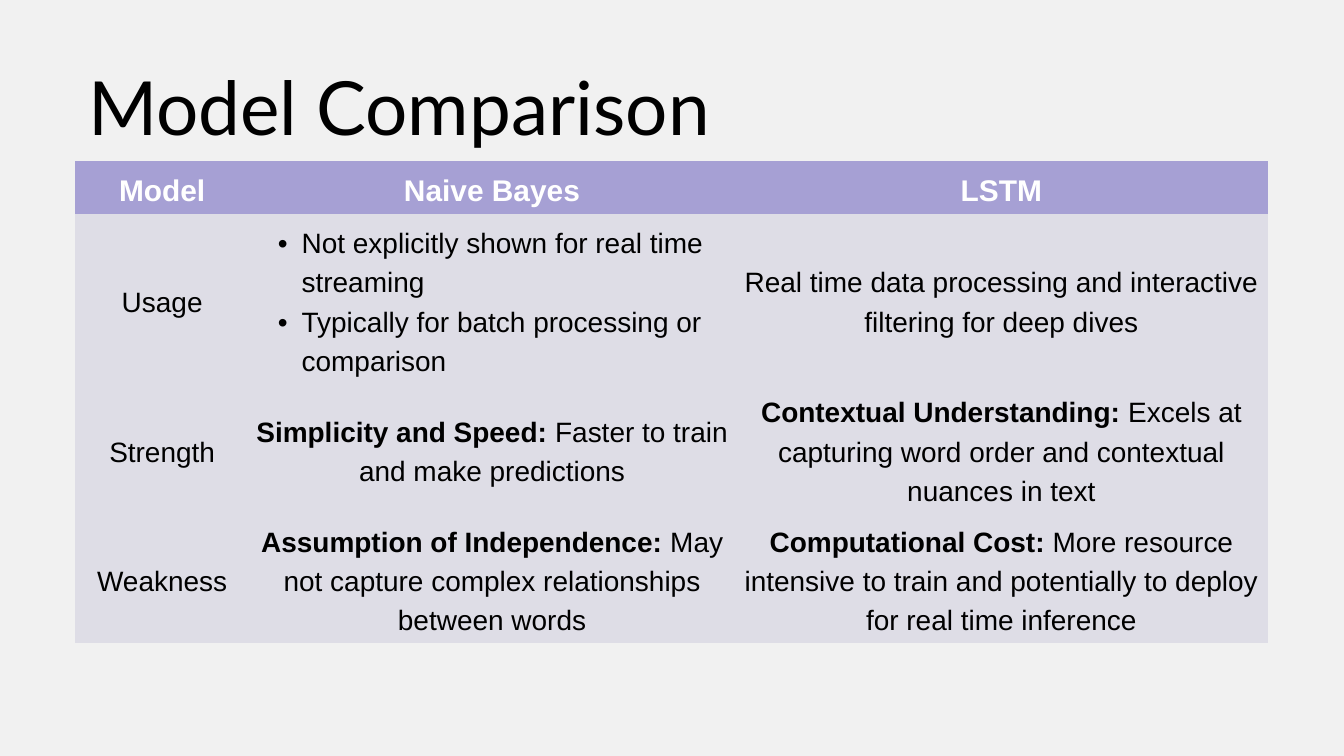
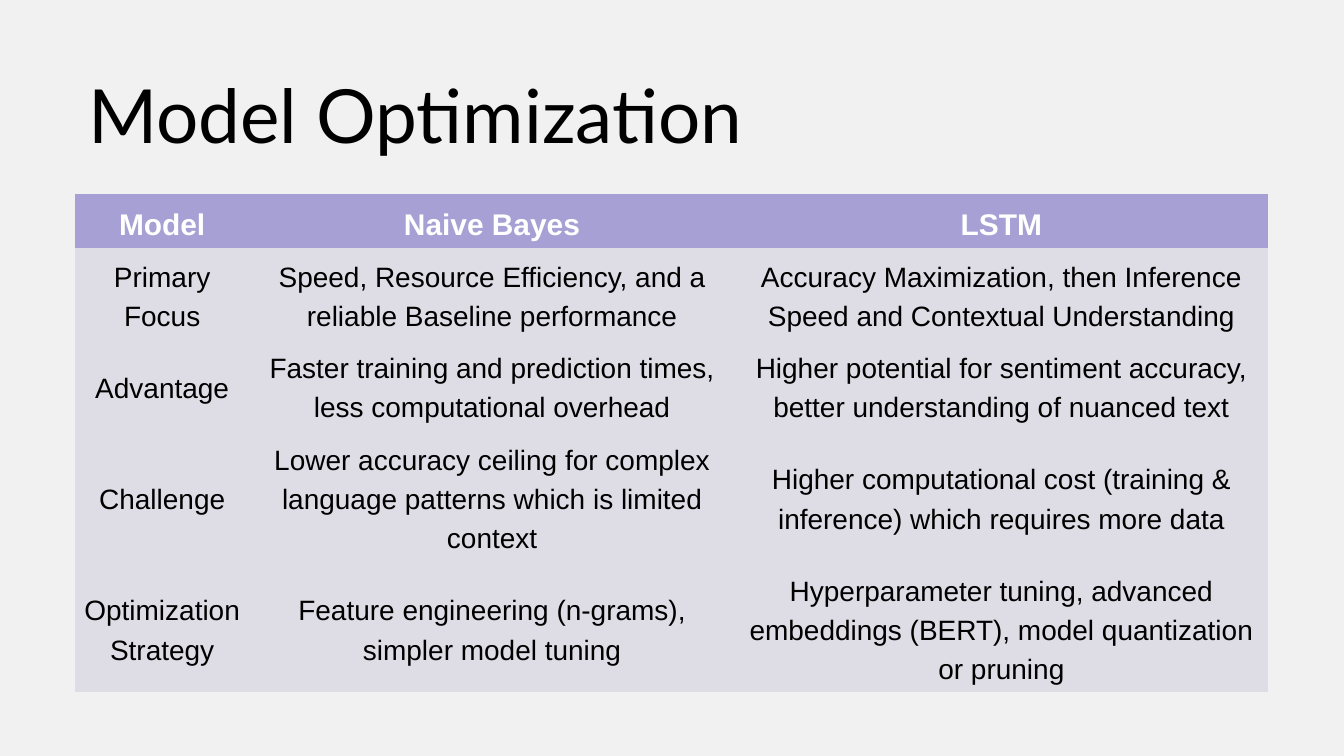
import pptx
import pptx.util
import pptx.dml.color
import pptx.enum.text
import pptx.oxml.ns
import lxml.etree

Cm, Pt = pptx.util.Cm, pptx.util.Pt
CENTER = pptx.enum.text.PP_ALIGN.CENTER
LEFT = pptx.enum.text.PP_ALIGN.LEFT

BACKGROUND, HEADER_FILL, BODY_FILL = "F1F1F1", "A6A0D4", "DEDDE6"
BLACK, WHITE = "000000", "FFFFFF"
TITLE_FONT, TABLE_FONT = "Lato", "Arial"
LINE_FACTOR = 1.4

TABLE_LEFT = 2.84
COLUMN_WIDTHS = (6.58, 18.36, 20.14)
HEADER_HEIGHT = 2.03
CELL_MARGIN = 0.18
TITLE_HEIGHT = 3.81
BULLET_INDENT = 0.9

HEADER = ("Model", "Naive Bayes", "LSTM")

# A cell is plain text, a (bold lead, text) pair, or a list of bullets.
SLIDES = [
    {
        "title": "Model Comparison",
        "title_place": (-1.5, 1.73, 33.17),
        "table_top": 6.07,
        "row_heights": (6.4, 4.9, 4.9),
        "rows": [
            ("Usage",
             ["Not explicitly shown for real time streaming",
              "Typically for batch processing or comparison"],
             "Real time data processing and interactive filtering for deep dives"),
            ("Strength",
             ("Simplicity and Speed: ", "Faster to train and make predictions"),
             ("Contextual Understanding: ",
              "Excels at capturing word order and contextual nuances in text")),
            ("Weakness",
             ("Assumption of Independence: ",
              "May not capture complex relationships between words"),
             ("Computational Cost: ",
              "More resource intensive to train and potentially to deploy "
              "for real time inference")),
        ],
    },
    {
        "title": "Model Optimization",
        "title_place": (2.46, 2.03, 26.49),
        "table_top": 7.34,
        "row_heights": (3.45, 3.45, 4.95, 4.95),
        "rows": [
            ("Primary Focus",
             "Speed, Resource Efficiency, and a reliable Baseline performance",
             "Accuracy Maximization, then Inference Speed and Contextual Understanding"),
            ("Advantage",
             "Faster training and prediction times, less computational overhead",
             "Higher potential for sentiment accuracy, better understanding of nuanced text"),
            ("Challenge",
             "Lower accuracy ceiling for complex language patterns which is limited context",
             "Higher computational cost (training & inference) which requires more data"),
            ("Optimization Strategy",
             "Feature engineering (n-grams), simpler model tuning",
             "Hyperparameter tuning, advanced embeddings (BERT), "
             "model quantization or pruning"),
        ],
    },
]


def paint(fill, color):
    fill.solid()
    fill.fore_color.rgb = pptx.dml.color.RGBColor.from_string(color)


def add_child(parent, tag, **attributes):
    return lxml.etree.SubElement(parent, pptx.oxml.ns.qn(tag), attributes)


def set_margins(holder, margin):
    holder.margin_left = holder.margin_right = Cm(margin)
    holder.margin_top = holder.margin_bottom = Cm(margin)


def add_span(para, text, font, size, color, bold=False):
    span = para.add_run()
    span.text = text
    span.font.name = font
    span.font.size = Pt(size)
    span.font.bold = bold
    paint(span.font.fill, color)


def format_para(para, size, alignment):
    para.alignment = alignment
    para.line_spacing = Pt(size * LINE_FACTOR)


def add_bullet(para):
    properties = para._p.get_or_add_pPr()
    properties.set("marL", str(Cm(2 * BULLET_INDENT)))
    properties.set("indent", str(-Cm(BULLET_INDENT)))
    add_child(properties, "a:buFont", typeface=TABLE_FONT)
    add_child(properties, "a:buChar", char="•")


def add_title(page, text, place):
    left, top, width = place
    box = page.shapes.add_textbox(Cm(left), Cm(top), Cm(width), Cm(TITLE_HEIGHT))
    frame = box.text_frame
    frame.word_wrap = True
    set_margins(frame, 0)
    para = frame.paragraphs[0]
    format_para(para, 80, CENTER)
    add_span(para, text, TITLE_FONT, 80, BLACK)


def fill_cell(cell, content, is_header):
    size, color = (32, WHITE) if is_header else (30, BLACK)
    set_margins(cell, CELL_MARGIN)
    cell.vertical_anchor = pptx.enum.text.MSO_ANCHOR.MIDDLE
    for side in ("a:lnL", "a:lnR", "a:lnT", "a:lnB"):
        add_child(add_child(cell._tc.get_or_add_tcPr(), side, w="0"), "a:noFill")
    paint(cell.fill, HEADER_FILL if is_header else BODY_FILL)

    is_list = isinstance(content, list)
    frame = cell.text_frame
    for index, item in enumerate(content if is_list else [content]):
        para = frame.add_paragraph() if index else frame.paragraphs[0]
        format_para(para, size, LEFT if is_list else CENTER)
        if is_list:
            add_bullet(para)
        lead, text = item if isinstance(item, tuple) else ("", item)
        if lead:
            add_span(para, lead, TABLE_FONT, size, color, bold=True)
        add_span(para, text, TABLE_FONT, size, color, bold=is_header)


def add_comparison(page, top, row_heights, rows):
    heights = (HEADER_HEIGHT, *row_heights)
    table = page.shapes.add_table(
        len(heights), len(COLUMN_WIDTHS), Cm(TABLE_LEFT), Cm(top),
        Cm(sum(COLUMN_WIDTHS)), Cm(sum(heights))).table
    table.horz_banding = False
    for column, width in zip(table.columns, COLUMN_WIDTHS):
        column.width = Cm(width)
    for row_index, (height, contents) in enumerate(zip(heights, [HEADER, *rows])):
        table.rows[row_index].height = Cm(height)
        for column_index, content in enumerate(contents):
            fill_cell(table.cell(row_index, column_index), content, row_index == 0)


def main():
    deck = pptx.Presentation()
    deck.slide_width, deck.slide_height = Cm(50.8), Cm(28.58)
    for content in SLIDES:
        page = deck.slides.add_slide(deck.slide_layouts[6])
        paint(page.background.fill, BACKGROUND)
        add_comparison(page, content["table_top"], content["row_heights"],
                       content["rows"])
        add_title(page, content["title"], content["title_place"])
    deck.save("out.pptx")


if __name__ == "__main__":
    main()
